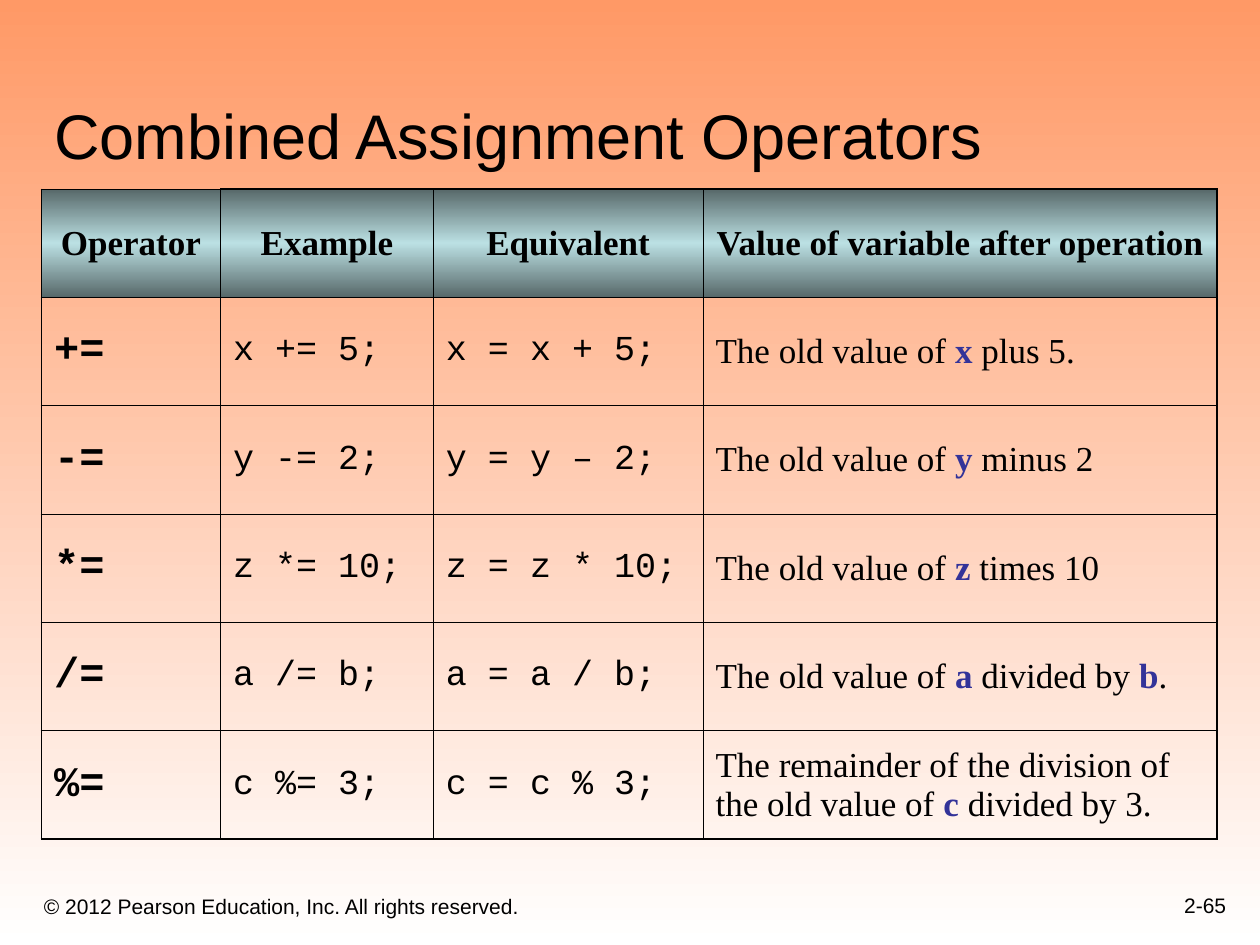
from copy import deepcopy

from pptx import Presentation
from pptx.dml.color import RGBColor
from pptx.enum.text import MSO_ANCHOR, MSO_AUTO_SIZE, PP_ALIGN
from pptx.oxml import parse_xml
from pptx.oxml.ns import nsdecls, qn
from pptx.util import Inches, Pt

TITLE = "Combined Assignment Operators"
COPYRIGHT = "© 2012 Pearson Education, Inc. All rights reserved."
PAGE = "2-65"
HEADINGS = ["Operator", "Example", "Equivalent", "Value of variable after operation"]
OPERATORS = [
    ("+=", "x += 5;", "x = x + 5;", "The old value of |x| plus 5."),
    ("-=", "y -= 2;", "y = y – 2;", "The old value of |y| minus 2"),
    ("*=", "z *= 10;", "z = z * 10;", "The old value of |z| times 10"),
    ("/=", "a /= b;", "a = a / b;", "The old value of |a| divided by |b|."),
    ("%=", "c %= 3;", "c = c % 3;",
     "The remainder of the division of the old value of |c| divided by 3."),
]
COLUMNS = [1.42, 1.69, 2.14, 4.08]
ROW_HEIGHT = 0.86
BLACK, VARIABLE = "000000", "333399"
SKY = ["FF9966", "FFFFFF"]
HEADER = ["576869", "BBE0E3", "576869"]
SERIF, MONO, SANS = "Times New Roman", "Courier New", "Arial"
BODY_STYLES = [(MONO, 24, True), (MONO, 20, False), (MONO, 20, False), (SERIF, 20, False)]
THICK, THIN = 1.08, 0.45


def rgb(value):
    """Turn a hex string into a colour."""
    return RGBColor.from_string(value)


def set_font(font, name, size, bold=False):
    """Give a font its face, size and weight in black."""
    font.name, font.size, font.bold = name, Pt(size), bold
    font.color.rgb = rgb(BLACK)


def fill_gradient(fill, owner, colours):
    """Fill from top to bottom with evenly spaced colours."""
    fill.gradient()
    fill.gradient_angle = 270
    stop_list = next(owner.iter(qn("a:gsLst")))
    for _ in colours[2:]:
        stop_list.append(deepcopy(stop_list[-1]))
    for index, (stop, colour) in enumerate(zip(fill.gradient_stops, colours)):
        stop.position = index / (len(colours) - 1)
        stop.color.rgb = rgb(colour)


def write_text(frame, text, size, align=PP_ALIGN.LEFT):
    """Write one bottom-anchored line."""
    frame.text = text
    frame.word_wrap = True
    frame.auto_size = MSO_AUTO_SIZE.NONE
    frame.vertical_anchor = MSO_ANCHOR.BOTTOM
    paragraph = frame.paragraphs[0]
    paragraph.alignment = align
    set_font(paragraph.font, SANS, size)


def add_borders(cell, row, column):
    """Draw thin inner and thick outer borders."""
    outer = {
        "lnL": column == 0,
        "lnR": column == len(COLUMNS) - 1,
        "lnT": row == 0 and column > 0,
        "lnB": row == len(OPERATORS),
    }
    properties = cell._tc.get_or_add_tcPr()
    for tag, is_outer in outer.items():
        width = Pt(THICK if is_outer else THIN)
        properties.append(parse_xml(
            f'<a:{tag} {nsdecls("a")} w="{width}"><a:solidFill>'
            f'<a:srgbClr val="{BLACK}"/></a:solidFill></a:{tag}>'))


def fill_cell(cell, row, column, text):
    """Write a cell, with variables between bars highlighted."""
    add_borders(cell, row, column)
    cell.vertical_anchor = MSO_ANCHOR.MIDDLE
    paragraph = cell.text_frame.paragraphs[0]
    if row == 0:
        fill_gradient(cell.fill, cell._tc, HEADER)
        paragraph.alignment = PP_ALIGN.CENTER
        style = (SERIF, 20, True)
    else:
        cell.fill.background()
        style = BODY_STYLES[column]
    set_font(paragraph.font, *style)
    for index, part in enumerate(text.split("|")):
        run = paragraph.add_run()
        run.text = part
        set_font(run.font, *style)
        if index % 2:
            run.font.bold = True
            run.font.color.rgb = rgb(VARIABLE)


def main():
    """Build the slide."""
    deck = Presentation()
    deck.slide_width, deck.slide_height = Inches(10), Inches(7.5)
    slide = deck.slides.add_slide(deck.slide_layouts[5])
    fill_gradient(slide.background.fill, slide.element, SKY)

    title = slide.shapes.title
    title.left, title.top, title.width, title.height = map(Inches, (0.33, 0.33, 9.42, 1.09))
    write_text(title.text_frame, TITLE, 36)

    rows = [HEADINGS, *OPERATORS]
    table = slide.shapes.add_table(
        len(rows), len(COLUMNS), Inches(0.33), Inches(1.5),
        Inches(sum(COLUMNS)), Inches(ROW_HEIGHT * len(rows))).table
    table.first_row = table.horz_banding = False
    for column, width in zip(table.columns, COLUMNS):
        column.width = Inches(width)
    for row, texts in enumerate(rows):
        for column, text in enumerate(texts):
            fill_cell(table.cell(row, column), row, column, text)

    footers = [
        (COPYRIGHT, (0.25, 6.92, 6.08, 0.42), PP_ALIGN.LEFT),
        (PAGE, (7.75, 6.83, 2.08, 0.5), PP_ALIGN.RIGHT),
    ]
    for text, place, align in footers:
        footer = slide.shapes.add_textbox(*map(Inches, place))
        write_text(footer.text_frame, text, 12, align)

    deck.save("out.pptx")


if __name__ == "__main__":
    main()
